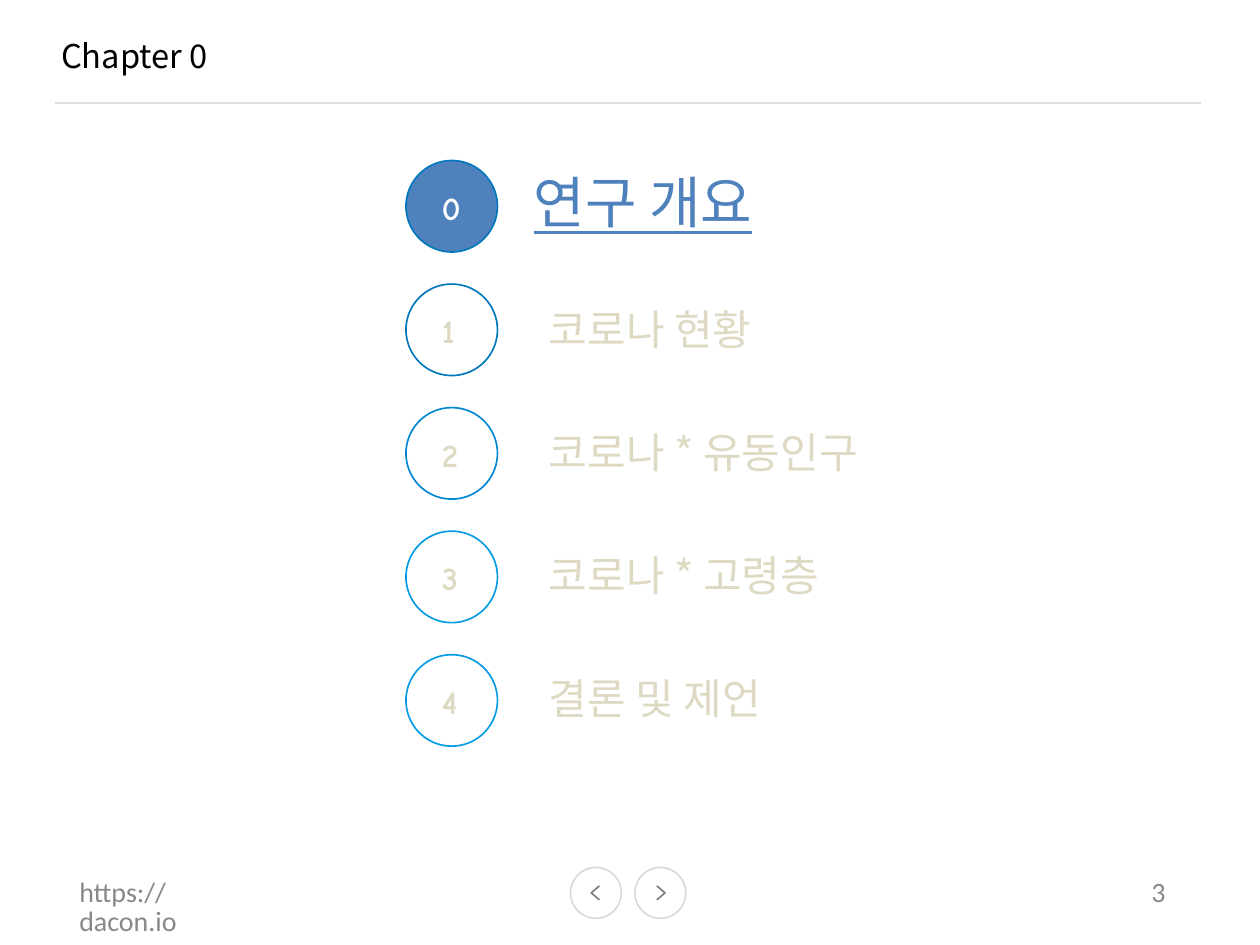
from dataclasses import dataclass
from lxml.etree import SubElement
from pptx import Presentation
from pptx.dml.color import RGBColor
from pptx.enum.shapes import MSO_CONNECTOR, MSO_SHAPE
from pptx.enum.text import MSO_ANCHOR, PP_ALIGN
from pptx.oxml.ns import qn
from pptx.util import Pt


@dataclass(frozen=True)
class Theme:
    """Colours, fonts and type sizes of the deck."""
    ink: str = "000000"
    paper: str = "FFFFFF"
    accent: str = "4F81BD"
    faded: str = "DDD9C3"
    grey: str = "888888"
    rule: str = "DFDFDF"
    ring: str = "D9D9D9"
    arrow: str = "7E7E7E"
    rings: tuple = ("0177BC", "0177BC", "0187D1", "039BE4", "039BE4")
    sans: str = "Noto Sans CJK KR"
    comic: str = "Comic Neue"
    plain: str = "Calibri"
    head: int = 14
    big: int = 24
    item: int = 18
    foot: int = 12
    line: float = 0.72


THEME = Theme()
ITEMS = ("연구 개요", "코로나 현황", "코로나 * 유동인구", "코로나 * 고령층", "결론 및 제언")


def paint(line, color):
    """Give a line its colour and the common width."""
    line.color.rgb = RGBColor.from_string(color)
    line.width = Pt(THEME.line)


def add_run(para, text, font, size, color):
    """Add one styled run and return it."""
    run = para.add_run()
    run.text = text
    run.font.name = font
    run.font.size = Pt(size)
    run.font.color.rgb = RGBColor.from_string(color)
    SubElement(run.font._element, qn("a:ea")).set("typeface", font)
    return run


def set_frame(shape, anchor=MSO_ANCHOR.TOP):
    """Clear the insets of a text shape and return its frame."""
    frame = shape.text_frame
    frame.word_wrap = True
    frame.vertical_anchor = anchor
    frame.margin_left = frame.margin_right = 0
    frame.margin_top = frame.margin_bottom = 0
    return frame


def place(shape, left, top, width, height):
    """Move a shape to a box given in points."""
    shape.left, shape.top = Pt(left), Pt(top)
    shape.width, shape.height = Pt(width), Pt(height)


def add_ring(slide, left, top, size, color, fill=None):
    """Draw a circle, hollow unless a fill is given."""
    ring = slide.shapes.add_shape(MSO_SHAPE.OVAL, Pt(left), Pt(top), Pt(size), Pt(size))
    ring.shadow.inherit = False
    if fill:
        ring.fill.solid()
        ring.fill.fore_color.rgb = RGBColor.from_string(fill)
    else:
        ring.fill.background()
    paint(ring.line, color)
    return ring


def add_head(slide, left, top, width):
    """Set the chapter title above its rule."""
    title = slide.shapes.title
    place(title, left + 2.6, top, 88, 20)
    para = set_frame(title).paragraphs[0]
    para.alignment = PP_ALIGN.LEFT
    add_run(para, "Chapter 0", THEME.sans, THEME.head, THEME.ink)
    low = Pt(top + 28.9)
    rule = slide.shapes.add_connector(MSO_CONNECTOR.STRAIGHT, Pt(left), low, Pt(left + width), low)
    SubElement(rule._element.spPr, qn("a:effectLst"))
    paint(rule.line, THEME.rule)


def add_marks(slide, left, top, size, pitch):
    """Stack the numbered circles, the current one filled."""
    for num, color in enumerate(THEME.rings):
        live = num == 0
        ring = add_ring(slide, left, top + num * pitch, size, color, THEME.accent if live else None)
        frame = set_frame(ring, MSO_ANCHOR.MIDDLE)
        frame.margin_left, frame.margin_top = Pt(9.6), Pt(0.8)
        para = frame.paragraphs[0]
        para.alignment = PP_ALIGN.LEFT
        tint = THEME.paper if live else THEME.faded
        add_run(para, str(num), THEME.comic, THEME.head, tint).font.bold = True


def add_list(slide, left, top, width, height):
    """Fill the body placeholder with the chapter names."""
    body = slide.placeholders[1]
    place(body, left, top, width, height)
    frame = set_frame(body)
    for num, text in enumerate(ITEMS):
        live = num == 0
        para = frame.paragraphs[0] if live else frame.add_paragraph()
        props = para._p.get_or_add_pPr()
        props.set("marL", str(Pt(0 if live else 6.5)))
        props.set("indent", "0")
        SubElement(props, qn("a:buNone"))
        para.line_spacing = Pt(51.1)
        para.space_before = Pt(1.6 if num > 1 else 0)
        size = THEME.big if live else THEME.item
        run = add_run(para, text, THEME.sans, size, THEME.accent if live else THEME.faded)
        run.font.underline = live


def add_nav(slide, left, top, size, gap):
    """Draw the back and forward buttons."""
    for num, way in enumerate((-1, 1)):
        x = left + num * (size + gap)
        add_ring(slide, x, top, size, THEME.ring)
        mid, row = x + size / 2, top + size / 2
        tip, tail = mid + way * 2, mid - way * 1.5
        pen = slide.shapes.build_freeform(Pt(tail), Pt(row - 3))
        pen.add_line_segments([(Pt(tip), Pt(row)), (Pt(tail), Pt(row + 3))], close=False)
        arrow = pen.convert_to_shape()
        arrow.shadow.inherit = False
        arrow.fill.background()
        paint(arrow.line, THEME.arrow)


def add_foot(slide, left, top, width):
    """Write the web address and the page number."""
    notes = ((("ht", "tps", "://", "da", "con.", "io"), left, 70), (("3",), left + width - 14.6, 14.6))
    for parts, x, wide in notes:
        box = slide.shapes.add_textbox(Pt(x), Pt(top), Pt(wide), Pt(14))
        para = set_frame(box).paragraphs[0]
        para.line_spacing = Pt(12.4)
        for part in parts:
            add_run(para, part, THEME.plain, THEME.foot, THEME.grey)


def main():
    """Build the chapter slide and save it."""
    deck = Presentation()
    deck.slide_width, deck.slide_height = Pt(540), Pt(405)
    slide = deck.slides.add_slide(deck.slide_layouts[1])
    add_head(slide, 23.6, 15.2, 491)
    add_marks(slide, 174, 68.8, 39.2, 52.95)
    add_list(slide, 228.7, 49.6, 200, 262)
    add_nav(slide, 244.5, 371.8, 21.8, 5.8)
    add_foot(slide, 34, 377, 474)
    deck.save("out.pptx")


if __name__ == "__main__":
    main()
